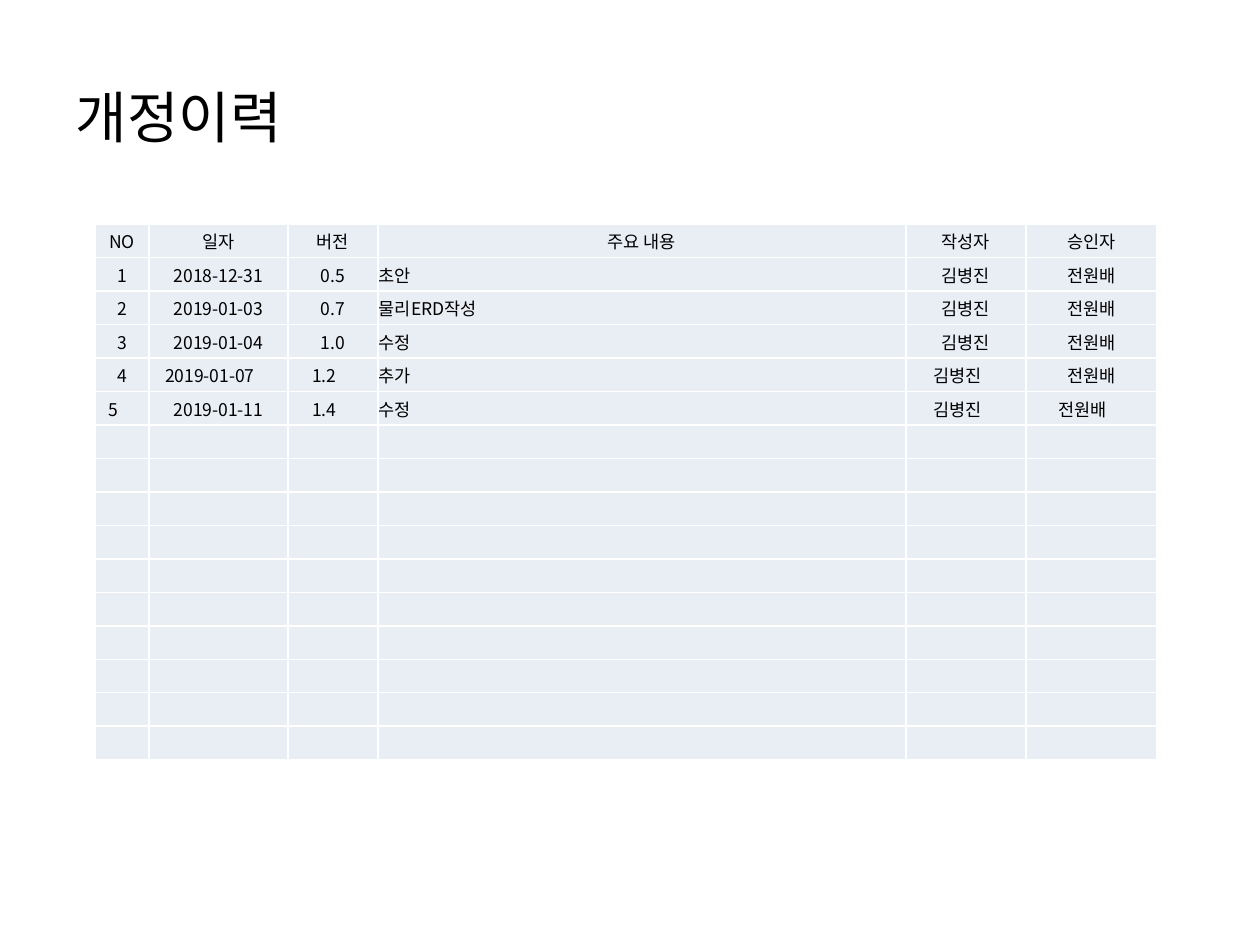
from dataclasses import dataclass

from lxml.etree import SubElement
from pptx import Presentation
from pptx.dml.color import RGBColor
from pptx.enum.text import MSO_ANCHOR as Anchor, PP_ALIGN as Align
from pptx.oxml import parse_xml
from pptx.oxml.ns import nsdecls, qn
from pptx.util import Emu, Pt

SCALE = 914400 // 126


@dataclass(frozen=True)
class Theme:
    font: str = "Noto Sans CJK KR"
    text: str = "000000"
    cell: str = "E9EDF4"
    border: str = "FFFFFF"
    title_size: int = 32
    table_size: int = 10
    border_width: int = 1


THEME = Theme()
TITLE_BOX = (63, 38, 1134, 157)
TABLE_BOX = (95, 224, 1062, 536)
COLUMN_WIDTHS = (54, 139, 90, 528, 120, 131)
ROW_COUNT = 16
CONTENT_COLUMN = 3
# Some entries end with a full-width space, which shifts centred text.
REVISIONS = (
    ("NO", "일자", "버전", "주요 내용", "작성자", "승인자"),
    ("1", "2018-12-31", "0.5", "초안", "김병진", "전원배"),
    ("2", "2019-01-03", "0.7", "물리ERD작성", "김병진", "전원배"),
    ("3", "2019-01-04", "1.0", "수정", "김병진", "전원배"),
    ("4", "2019-01-07\u3000", "1.2\u3000", "추가\u3000", "김병진\u3000", "전원배"),
    ("5\u3000", "2019-01-11", "1.4\u3000", "수정\u3000", "김병진\u3000", "전원배\u3000"),
)


def px(pixels):
    return Emu(pixels * SCALE)


def style_paragraph(paragraph, size, align):
    paragraph.alignment = align
    font = paragraph.font
    font.size, font.name = Pt(size), THEME.font
    font.color.rgb = RGBColor.from_string(THEME.text)
    properties = paragraph._p.pPr.find(qn("a:defRPr"))
    SubElement(properties, qn("a:ea"), typeface=THEME.font)


def add_borders(cell):
    properties = cell._tc.get_or_add_tcPr()
    for index, side in enumerate(("lnL", "lnR", "lnT", "lnB")):
        properties.insert(index, parse_xml(
            f'<a:{side} {nsdecls("a")} w="{Pt(THEME.border_width)}"><a:solidFill>'
            f'<a:srgbClr val="{THEME.border}"/></a:solidFill></a:{side}>'))


def place_title(slide, box, text):
    title = slide.shapes.title
    title.left, title.top, title.width, title.height = map(px, box)
    frame = title.text_frame
    frame.text = text
    frame.vertical_anchor = Anchor.MIDDLE
    style_paragraph(frame.paragraphs[0], THEME.title_size, Align.LEFT)


def fill_cell(cell, text, align):
    cell.fill.solid()
    cell.fill.fore_color.rgb = RGBColor.from_string(THEME.cell)
    add_borders(cell)
    cell.vertical_anchor = Anchor.MIDDLE
    cell.margin_left = cell.margin_right = cell.margin_top = px(1)
    cell.margin_bottom = 0
    paragraph = cell.text_frame.paragraphs[0]
    if text:
        paragraph.text = text
    style_paragraph(paragraph, THEME.table_size, align)
    if not text:
        # The end mark keeps empty rows from growing
        SubElement(paragraph._p, qn("a:endParaRPr"), sz=str(THEME.table_size * 100))


def add_revision_table(slide, box):
    table = slide.shapes.add_table(ROW_COUNT, len(COLUMN_WIDTHS), *map(px, box)).table
    table.first_row = table.horz_banding = False
    for column, width in zip(table.columns, COLUMN_WIDTHS):
        column.width = px(width)
    blank_row = ("",) * len(COLUMN_WIDTHS)
    for row_index, row in enumerate(table.rows):
        row.height = px(box[3]) // ROW_COUNT
        texts = REVISIONS[row_index] if row_index < len(REVISIONS) else blank_row
        for column_index, (cell, text) in enumerate(zip(row.cells, texts)):
            is_content = row_index > 0 and column_index == CONTENT_COLUMN
            fill_cell(cell, text, Align.LEFT if is_content else Align.CENTER)


def build_revision_slide(presentation):
    slide = presentation.slides.add_slide(presentation.slide_layouts[5])
    place_title(slide, TITLE_BOX, "개정이력")
    add_revision_table(slide, TABLE_BOX)


presentation = Presentation()
presentation.slide_width, presentation.slide_height = px(1260), px(945)
build_revision_slide(presentation)
presentation.save("out.pptx")
